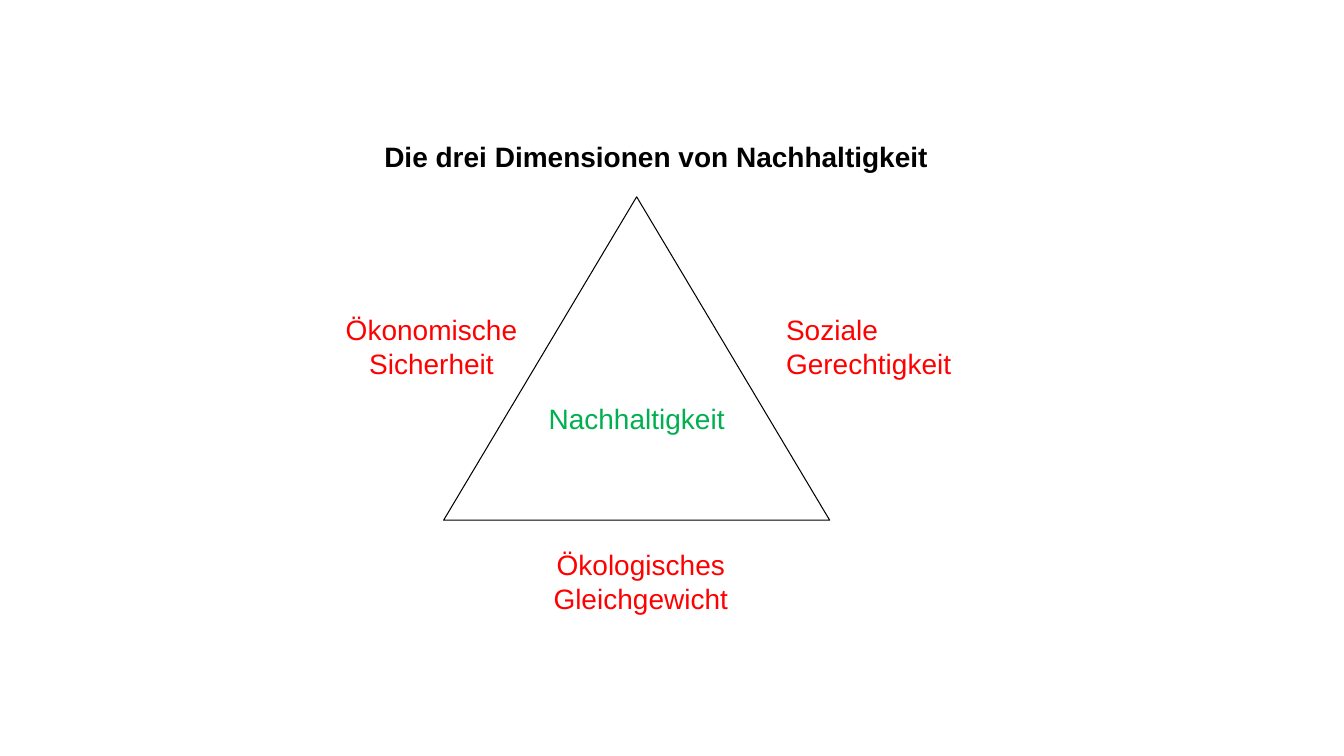
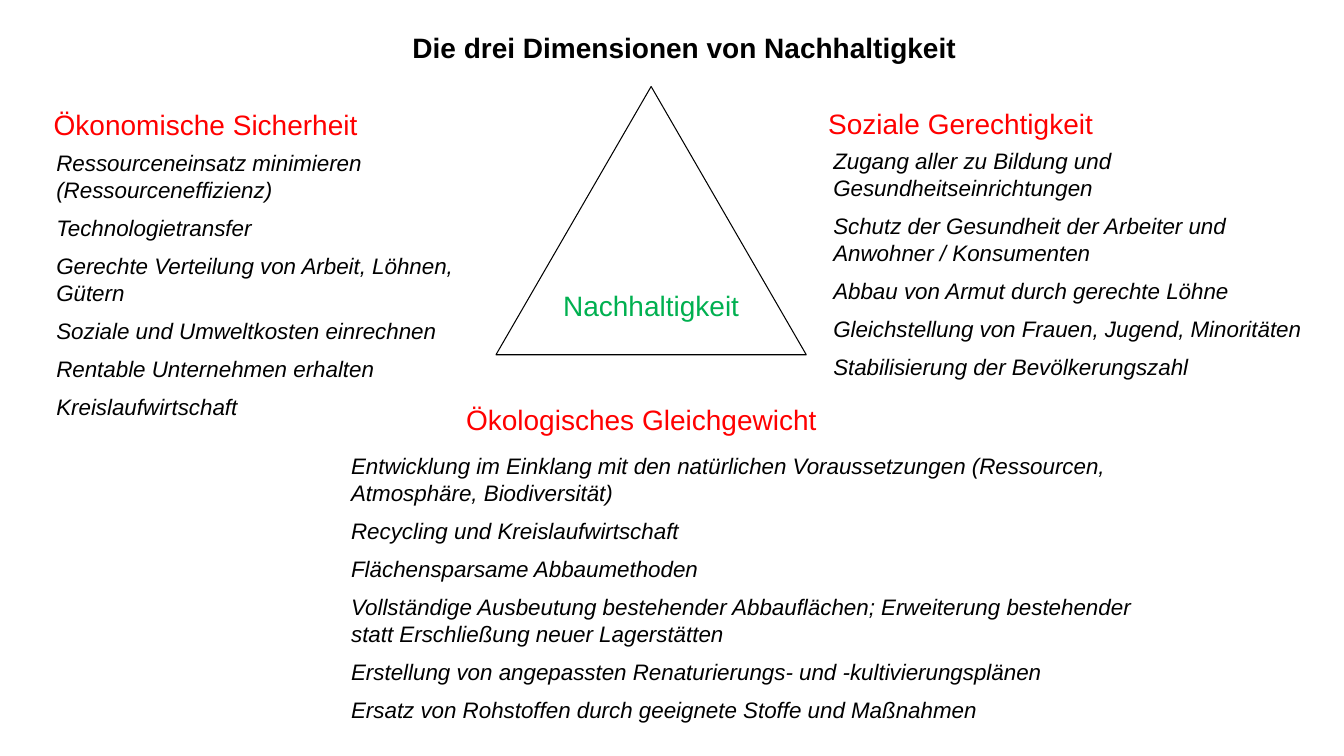
import pptx
import pptx.dml.color
import pptx.enum.shapes
import pptx.enum.text
import pptx.util

Cm = pptx.util.Cm
Pt = pptx.util.Pt
SHAPES = pptx.enum.shapes.MSO_SHAPE
LEFT = pptx.enum.text.PP_ALIGN.LEFT
CENTER = pptx.enum.text.PP_ALIGN.CENTER

FONT = "Arial"
COLORS = {"paper": "FFFFFF", "ink": "000000", "dimension": "FF0000", "core": "00B050"}
TITLE_SIZE = (20.52, 1.12)
CORE_SIZE = (5.56, 1.37)

TITLE = "Die drei Dimensionen von Nachhaltigkeit"
CORE = "Nachhaltigkeit"
ECONOMY = "Ökonomische Sicherheit"
ECOLOGY = "Ökologisches Gleichgewicht"
SOCIETY = "Soziale Gerechtigkeit"

ECONOMY_GOALS = [
    "Ressourceneinsatz minimieren (Ressourceneffizienz)",
    "Technologietransfer",
    "Gerechte Verteilung von Arbeit, Löhnen, Gütern",
    "Soziale und Umweltkosten einrechnen",
    "Rentable Unternehmen erhalten",
    "Kreislaufwirtschaft",
]
SOCIETY_GOALS = [
    "Zugang aller zu Bildung und Gesundheitseinrichtungen",
    "Schutz der Gesundheit der Arbeiter und Anwohner / Konsumenten",
    "Abbau von Armut durch gerechte Löhne",
    "Gleichstellung von Frauen, Jugend, Minoritäten",
    "Stabilisierung der Bevölkerungszahl",
]
ECOLOGY_GOALS = [
    "Entwicklung im Einklang mit den natürlichen Voraussetzungen "
    "(Ressourcen, Atmosphäre, Biodiversität)",
    "Recycling und Kreislaufwirtschaft",
    "Flächensparsame Abbaumethoden",
    "Vollständige Ausbeutung bestehender Abbauflächen; "
    "Erweiterung bestehender statt Erschließung neuer Lagerstätten",
    "Erstellung von angepassten Renaturierungs- und -kultivierungsplänen",
    "Ersatz von Rohstoffen durch geeignete Stoffe und Maßnahmen",
]


def rgb(name):
    return pptx.dml.color.RGBColor.from_string(COLORS[name])


def write(box, lines, size, color, align=LEFT, bold=False, italic=False):
    frame = box.text_frame
    frame.word_wrap = True
    frame.vertical_anchor = pptx.enum.text.MSO_ANCHOR.TOP
    frame.text = "\n".join(lines)
    for index, para in enumerate(frame.paragraphs):
        para.alignment = align
        if index:
            para.space_before = Pt(size / 2)
        for span in para.runs:
            span.font.name = FONT
            span.font.size = Pt(size)
            span.font.bold = bold
            span.font.italic = italic
            span.font.color.rgb = rgb(color)


def add_white_shape(page, kind, place):
    shape = page.shapes.add_shape(kind, *map(Cm, place))
    shape.shadow.inherit = False
    shape.fill.solid()
    shape.fill.fore_color.rgb = rgb("paper")
    shape.line.fill.background()
    return shape


def add_label(page, text, place, color="dimension", align=CENTER):
    box = add_white_shape(page, SHAPES.RECTANGLE, place)
    write(box, [text], 20, color, align)


def add_triangle(page, place, core_top):
    triangle = add_white_shape(page, SHAPES.ISOSCELES_TRIANGLE, place)
    triangle.line.color.rgb = rgb("ink")
    triangle.line.width = Pt(0.75)
    left, _, width, _ = place
    core_left = left + (width - CORE_SIZE[0]) / 2
    add_label(page, CORE, (core_left, core_top, *CORE_SIZE), "core")


def add_title(page, left, top):
    box = page.shapes.add_textbox(*map(Cm, (left, top, *TITLE_SIZE)))
    write(box, [TITLE], 20, "ink", CENTER, bold=True)


def add_goals(page, goals, place):
    box = page.shapes.add_textbox(*map(Cm, place))
    write(box, goals, 16, "ink", italic=True)


def add_page(deck):
    return deck.slides.add_slide(deck.slide_layouts[6])


def build_overview(deck):
    page = add_page(deck)
    add_title(page, 6.28, 3.4)
    add_label(page, ECONOMY, (8.21, 7.75, 5.33, 2.57))
    add_label(page, ECOLOGY, (12.95, 13.67, 6.4, 2.57))
    add_label(page, SOCIETY, (19.56, 7.75, 5.87, 2.11), align=LEFT)
    add_triangle(page, (11.18, 4.96, 9.73, 8.15), 10)


def build_goals(deck):
    page = add_page(deck)
    add_title(page, 6.99, 0.64)
    add_label(page, ECONOMY, (0.18, 2.59, 10.01, 1.12))
    add_label(page, ECOLOGY, (9.98, 10.01, 12.37, 1.17))
    add_label(page, SOCIETY, (20.62, 2.57, 9.73, 1.3), align=LEFT)
    add_triangle(page, (12.5, 2.18, 7.82, 6.76), 7.14)
    add_goals(page, ECONOMY_GOALS, (1.17, 3.63, 11.33, 7.44))
    add_goals(page, SOCIETY_GOALS, (20.75, 3.58, 12.37, 6.4))
    add_goals(page, ECOLOGY_GOALS, (8.6, 11.28, 20.6, 7.44))


def main():
    deck = pptx.Presentation()
    deck.slide_width = Cm(33.87)
    deck.slide_height = Cm(19.05)
    build_overview(deck)
    build_goals(deck)
    deck.save("out.pptx")


if __name__ == "__main__":
    main()
